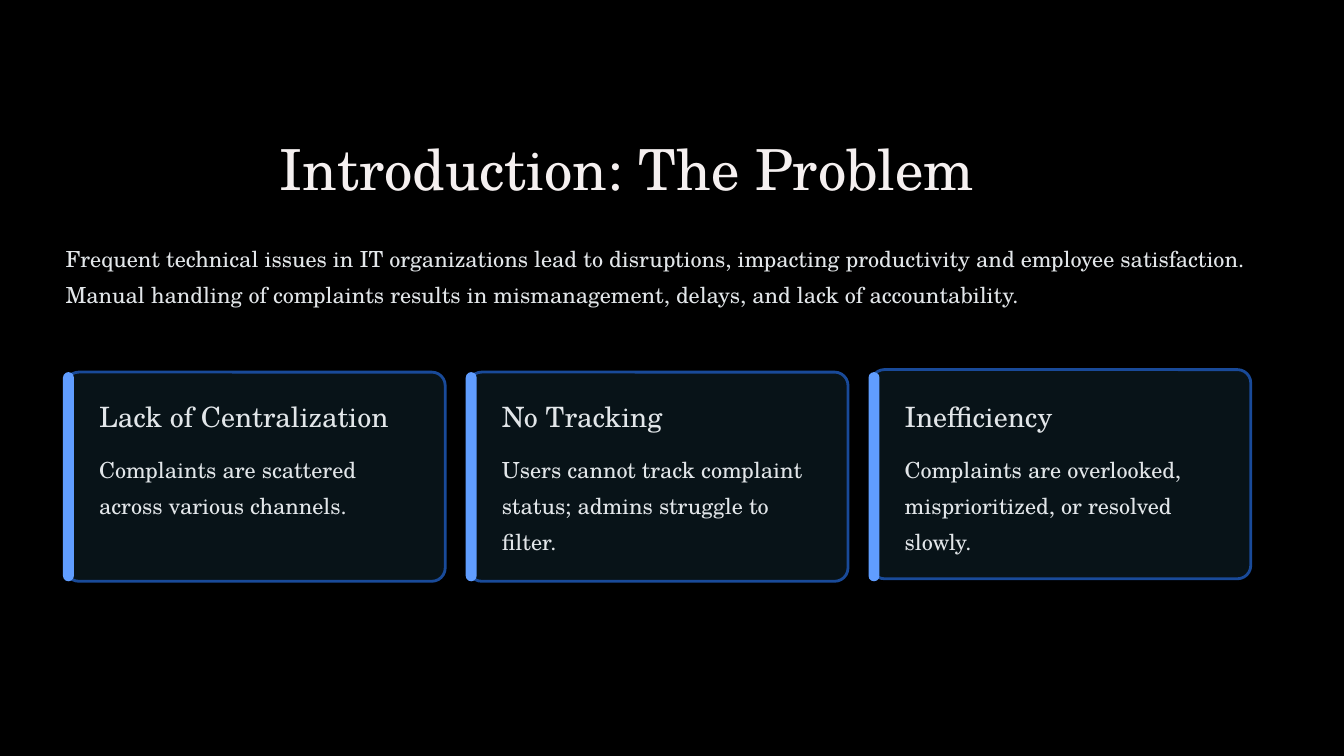
"""Builds the slide that introduces the problem with three cards."""
from lxml import etree
from pptx import Presentation
from pptx.dml.color import RGBColor
from pptx.enum.shapes import MSO_SHAPE
from pptx.oxml.ns import qn
from pptx.util import Inches, Pt

ROUNDED = MSO_SHAPE.ROUNDED_RECTANGLE
BLACK = RGBColor(0x00, 0x00, 0x00)
TITLE_WHITE = RGBColor(0xF5, 0xF0, 0xF0)
TEXT_GREY = RGBColor(0xE2, 0xE6, 0xE9)
CARD_DARK = RGBColor(0x09, 0x15, 0x1A)
BORDER_BLUE = RGBColor(0x19, 0x4A, 0x99)
ACCENT_BLUE = RGBColor(0x60, 0x9D, 0xFF)

TITLE = "Introduction: The Problem"
INTRO = (
    "Frequent technical issues in IT organizations lead to disruptions, "
    "impacting productivity and employee satisfaction. Manual handling of "
    "complaints results in mismanagement, delays, and lack of accountability."
)
CARDS = [
    ("Lack of Centralization", "Complaints are scattered across various channels.", 4.43),
    ("No Tracking", "Users cannot track complaint status; admins struggle to filter.", 4.43),
    ("Inefficiency", "Complaints are overlooked, misprioritized, or resolved slowly.", 4.4),
]
CARD_PITCH = 9.59 / 2


class ProblemSlide:
    """Holds the font and the current slide, and draws its elements."""

    font = "TeX Gyre Schola"

    def __init__(self, slide):
        """Take the slide and paint its background."""
        self.slide = slide
        slide.background.fill.solid()
        slide.background.fill.fore_color.rgb = BLACK

    def text(self, box, words, size, spacing, color=TEXT_GREY):
        """Add a text box without insets."""
        frame = self.slide.shapes.add_textbox(*map(Inches, box)).text_frame
        frame.word_wrap = True
        frame.margin_left = frame.margin_right = 0
        frame.margin_top = frame.margin_bottom = 0
        paragraph = frame.paragraphs[0]
        paragraph.text = words
        paragraph.line_spacing = Pt(spacing)
        paragraph.font.name = self.font
        paragraph.font.size = Pt(size)
        paragraph.font.color.rgb = color

    def rounded(self, box, rounding, color):
        """Add a filled rounded rectangle without a line."""
        shape = self.slide.shapes.add_shape(ROUNDED, *map(Inches, box))
        shape.adjustments[0] = rounding
        shape.shadow.inherit = False
        shape.fill.solid()
        shape.fill.fore_color.rgb = color
        shape.line.fill.background()
        return shape

    def panel(self, box):
        """Add a bordered, slightly transparent panel."""
        panel = self.rounded(box, 0.064, CARD_DARK)
        panel.line.color.rgb = BORDER_BLUE
        panel.line.width = Pt(2.4)
        color = panel.fill._xPr.find(qn("a:solidFill"))[0]
        etree.SubElement(color, qn("a:alpha")).set("val", "95000")

    def card(self, offset, heading, body, top):
        """Add a panel with its accent bar, heading and body."""
        self.panel((0.78 + offset, top, 4.52, 2.49))
        self.rounded((0.75 + offset, 4.43, 0.13, 2.49), 0.5, ACCENT_BLUE)
        self.text((1.18 + offset, 4.74, 3.58, 0.42), heading, 24, 30)
        self.text((1.18 + offset, 5.32, 3.82, 1.3), body, 19, 31)


def main():
    """Build and save the presentation."""
    deck = Presentation()
    deck.slide_width, deck.slide_height = Inches(16), Inches(9)
    problem = ProblemSlide(deck.slides.add_slide(deck.slide_layouts[6]))
    problem.text((3.33, 1.56, 8.5, 0.84), TITLE, 48.5, 60.5, TITLE_WHITE)
    problem.text((0.78, 2.81, 14.11, 0.86), INTRO, 19, 31)
    for index, (heading, body, top) in enumerate(CARDS):
        problem.card(index * CARD_PITCH, heading, body, top)
    deck.save("out.pptx")


if __name__ == "__main__":
    main()
